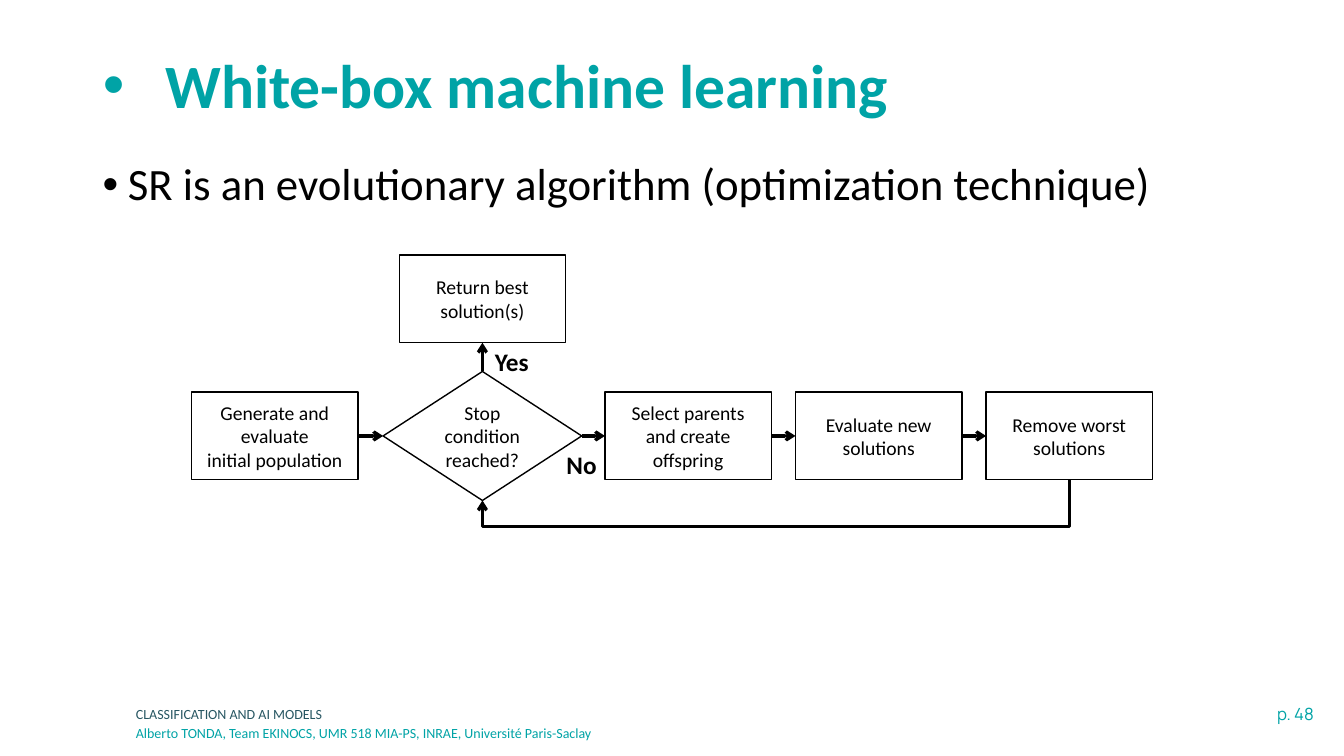
from lxml import etree
from pptx import Presentation
from pptx.dml.color import RGBColor
from pptx.enum.shapes import MSO_CONNECTOR, MSO_SHAPE
from pptx.enum.text import MSO_ANCHOR, MSO_AUTO_SIZE, PP_ALIGN
from pptx.oxml.ns import qn
from pptx.util import Inches, Pt

PROCESS = MSO_SHAPE.FLOWCHART_PROCESS
DECISION = MSO_SHAPE.FLOWCHART_DECISION
STRAIGHT, ELBOW = MSO_CONNECTOR.STRAIGHT, MSO_CONNECTOR.ELBOW
MIDDLE, TOP_ANCHOR = MSO_ANCHOR.MIDDLE, MSO_ANCHOR.TOP
LEFT_ALIGN, CENTER, RIGHT_ALIGN = PP_ALIGN.LEFT, PP_ALIGN.CENTER, PP_ALIGN.RIGHT
NO_AUTOFIT = MSO_AUTO_SIZE.NONE
TOP, LEFT, BOTTOM, RIGHT = range(4)
BLACK, WHITE, TEAL, DARK_TEAL = "000000", "FFFFFF", "00A3A6", "275662"
TITLE_ONLY = 5


def color(hex_text):
    """Turn a hex string into a colour."""
    return RGBColor.from_string(hex_text)


def write(shape, text, size=14, fill=BLACK, bold=False, font="Calibri",
          align=LEFT_ALIGN, anchor=TOP_ANCHOR, bullet_indent=None):
    """Write one paragraph per line of text, with its format."""
    frame = shape.text_frame
    frame.word_wrap = True
    frame.auto_size = NO_AUTOFIT
    frame.vertical_anchor = anchor
    frame.text = text
    for paragraph in frame.paragraphs:
        if bullet_indent:
            add_bullet(paragraph, bullet_indent)
            paragraph.line_spacing = 0.9
        paragraph.alignment = align
        paragraph.space_before = Pt(0)
        paragraph.font.name = font
        paragraph.font.size = Pt(size)
        paragraph.font.bold = bold
        paragraph.font.color.rgb = color(fill)
        for run in paragraph.runs:
            run.font.name = font
            run.font.size = Pt(size)
            run.font.bold = bold
            run.font.color.rgb = color(fill)


def add_bullet(paragraph, indent):
    """Give a paragraph a round bullet with a hanging indent in inches."""
    properties = paragraph._p.get_or_add_pPr()
    properties.set("marL", str(Inches(indent)))
    properties.set("indent", str(-Inches(indent)))
    etree.SubElement(properties, qn("a:buFont")).set("typeface", "Arial")
    etree.SubElement(properties, qn("a:buChar")).set("char", "•")


def add_text(slide, box, text, **text_format):
    """Add a text box at left, top, width, height in inches."""
    shape = slide.shapes.add_textbox(*map(Inches, box))
    write(shape, text, **text_format)


def add_node(slide, kind, box, text):
    """Add one outlined step of the flowchart."""
    shape = slide.shapes.add_shape(kind, *map(Inches, box))
    shape.shadow.inherit = False
    shape.fill.solid()
    shape.fill.fore_color.rgb = color(WHITE)
    shape.line.color.rgb = color(BLACK)
    shape.line.width = Pt(1)
    write(shape, text, align=CENTER, anchor=MIDDLE)
    return shape


def add_arrow(slide, kind):
    """Add a black connector with an open arrowhead at its end."""
    arrow = slide.shapes.add_connector(kind, 0, 0, 0, 0)
    arrow.line.color.rgb = color(BLACK)
    arrow.line.width = Pt(2.25)
    etree.SubElement(arrow.line._get_or_add_ln(), qn("a:tailEnd")).set("type", "arrow")
    etree.SubElement(arrow._element.spPr, qn("a:effectLst"))
    return arrow


def join(slide, start, start_side, end, end_side):
    """Join the sides of two steps with a straight arrow."""
    arrow = add_arrow(slide, STRAIGHT)
    arrow.begin_connect(start, start_side)
    arrow.end_connect(end, end_side)


def loop_back(slide, start, end, drop):
    """Run an elbow arrow from the bottom of start, below and up into end."""
    start_x, start_y = start.left + start.width // 2, start.top + start.height
    end_x, end_y = end.left + end.width // 2, end.top + end.height
    span, rise = start_x - end_x, end_y - start_y
    arrow = add_arrow(slide, ELBOW)
    arrow.left = (start_x + end_x - rise) // 2
    arrow.top = (start_y + end_y - span) // 2
    arrow.width, arrow.height = rise, span
    properties = arrow._element.spPr
    properties.find(qn("a:xfrm")).set("rot", "5400000")
    geometry = properties.find(qn("a:prstGeom"))
    adjustments = geometry.find(qn("a:avLst"))
    if adjustments is None:
        adjustments = etree.SubElement(geometry, qn("a:avLst"))
    guide = etree.SubElement(adjustments, qn("a:gd"))
    guide.set("name", "adj1")
    guide.set("fmla", f"val {round(100000 * Inches(drop) / rise)}")


def add_heading(slide, box):
    """Place the title and the bullet under it."""
    left, top, width, height = box
    title = slide.shapes.title
    title.left, title.top = Inches(left), Inches(top)
    title.width, title.height = Inches(width), Inches(0.95)
    write(title, "White-box machine learning", size=44, fill=TEAL, bold=True,
          anchor=MIDDLE, bullet_indent=0.62)
    add_text(slide, (left, top + 1.16, width, height - 1.16),
             "SR is an evolutionary algorithm (optimization technique)",
             size=32, bullet_indent=0.25)


def add_flowchart(slide, left, top):
    """Draw the evolutionary loop from its top left corner."""
    width, height, pitch = 1.65, 0.87, 1.89
    row_top = top + 1.36
    generate = add_node(slide, PROCESS, (left, row_top, width, height),
                        "Generate and evaluate\ninitial population")
    stop = add_node(slide, DECISION, (left + 1.9, top + 1.155, 1.97, 1.28),
                    "Stop condition reached?")
    best = add_node(slide, PROCESS, (left + 2.06, top, width, height),
                    "Return best solution(s)")
    row = [generate, stop]
    steps = ("Select parents and create offspring", "Evaluate new solutions",
             "Remove worst solutions")
    for index, text in enumerate(steps):
        box = (left + 4.1 + index * pitch, row_top, width, height)
        row.append(add_node(slide, PROCESS, box, text))
    for start, end in zip(row, row[1:]):
        join(slide, start, RIGHT, end, LEFT)
    join(slide, stop, TOP, best, BOTTOM)
    loop_back(slide, row[-1], stop, drop=0.46)
    for text, x, y in (("Yes", 2.91, 0.86), ("No", 3.62, 1.88)):
        add_text(slide, (left + x, top + y, 0.55, 0.4), text, size=18, bold=True)


def add_footer(slide, left, top):
    """Place the course name, the author and the page number."""
    add_text(slide, (left, top + 0.02, 7.34, 0.28), "CLASSIFICATION AND AI MODELS",
             size=10, fill=DARK_TEAL)
    add_text(slide, (left, top + 0.21, 7.34, 0.28),
             "Alberto TONDA, Team EKINOCS, UMR 518 MIA-PS, INRAE, Université Paris-Saclay",
             size=10, fill=TEAL)
    add_text(slide, (left + 9.6, top, 2.28, 0.3), "p. 48", size=12, fill=TEAL,
             font="Manrope", align=RIGHT_ALIGN)


def main():
    """Build the slide and save it."""
    presentation = Presentation()
    presentation.slide_width, presentation.slide_height = Inches(13.33), Inches(7.5)
    slide = presentation.slides.add_slide(presentation.slide_layouts[TITLE_ONLY])
    add_heading(slide, (0.92, 0.4, 11.5, 6.27))
    add_flowchart(slide, 1.9, 2.53)
    add_footer(slide, 1.25, 6.93)
    presentation.save("out.pptx")


if __name__ == "__main__":
    main()
